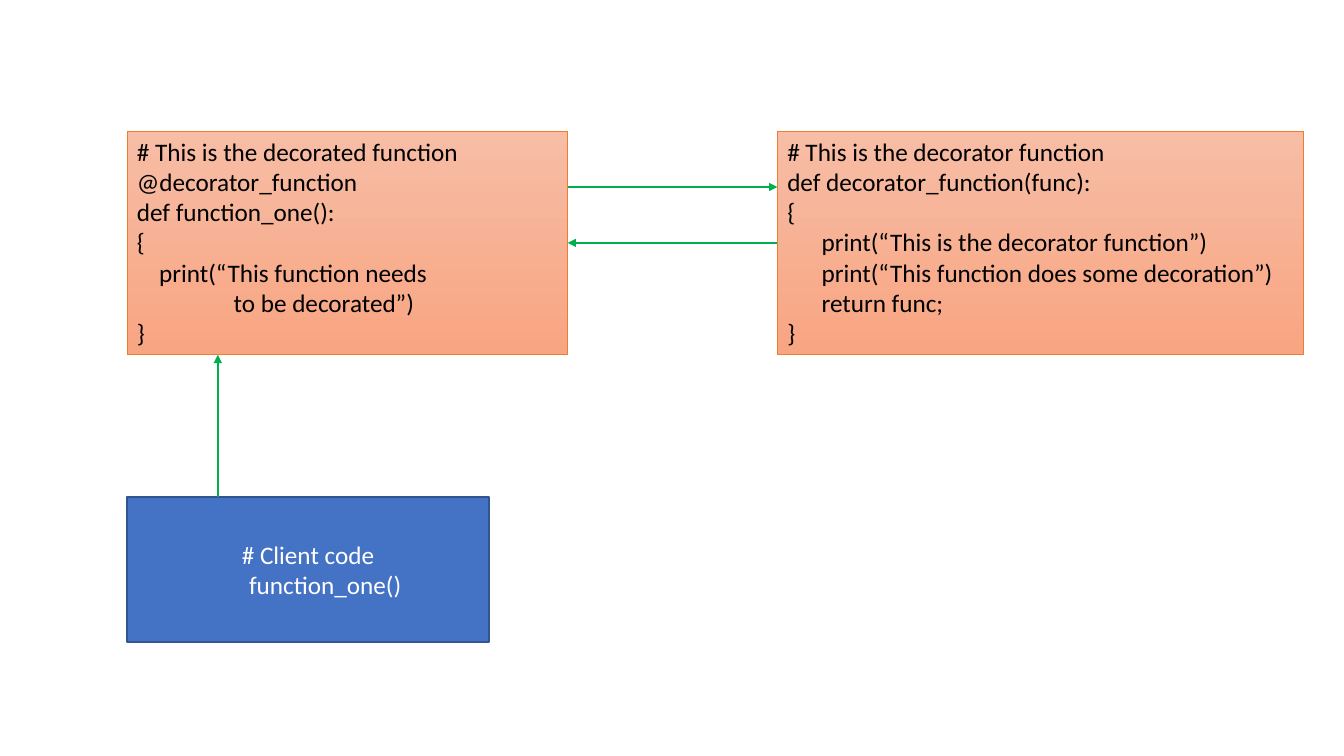
from dataclasses import dataclass

from lxml.etree import SubElement
from pptx import Presentation
from pptx.dml.color import RGBColor
from pptx.enum.shapes import MSO_CONNECTOR, MSO_SHAPE
from pptx.enum.text import MSO_ANCHOR, MSO_AUTO_SIZE, PP_ALIGN
from pptx.oxml.ns import qn
from pptx.util import Inches, Pt


@dataclass(frozen=True)
class Theme:
    font: str = "Calibri"
    size: float = 18
    code_text: str = "000000"
    code_fill: tuple = ("F7BDA5", "F8A582")
    code_line: str = "ED7D31"
    client_text: str = "FFFFFF"
    client_fill: str = "4472C4"
    client_line: str = "325491"
    arrow: str = "00B050"


THEME = Theme()


def color(value):
    return RGBColor.from_string(value)


def set_format(target, values):
    for name, value in values.items():
        setattr(target, name, value)


def set_line(line, line_color, width):
    line.color.rgb = color(line_color)
    line.width = Pt(width)


def add_box(slide, box, line_color, line_width):
    shape = slide.shapes.add_shape(MSO_SHAPE.RECTANGLE, *map(Inches, box))
    shape.shadow.inherit = False
    set_line(shape.line, line_color, line_width)
    return shape


def write_lines(frame, lines, text_color, alignment):
    """Write (indent in inches, text) pairs, one paragraph each."""
    for number, (indent, text) in enumerate(lines):
        paragraph = frame.add_paragraph() if number else frame.paragraphs[0]
        paragraph.alignment = alignment
        if indent:
            paragraph._p.get_or_add_pPr().set("marL", str(Inches(indent)))
        run = paragraph.add_run()
        run.text = text
        set_format(run.font, {"name": THEME.font, "size": Pt(THEME.size)})
        run.font.color.rgb = color(text_color)


def add_code_box(slide, box, lines):
    shape = add_box(slide, box, THEME.code_line, 0.5)
    # Gradient from top to bottom
    shape.fill.gradient()
    shape.fill.gradient_angle = 270
    for stop, value in zip(shape.fill.gradient_stops, THEME.code_fill):
        stop.color.rgb = color(value)
    set_format(shape.text_frame, {
        "word_wrap": True,
        "vertical_anchor": MSO_ANCHOR.TOP,
        "auto_size": MSO_AUTO_SIZE.SHAPE_TO_FIT_TEXT,
    })
    write_lines(shape.text_frame, lines, THEME.code_text, PP_ALIGN.LEFT)


def add_client_box(slide, box, lines):
    shape = add_box(slide, box, THEME.client_line, 1)
    shape.fill.solid()
    shape.fill.fore_color.rgb = color(THEME.client_fill)
    set_format(shape.text_frame, {
        "word_wrap": True,
        "vertical_anchor": MSO_ANCHOR.MIDDLE,
    })
    write_lines(shape.text_frame, lines, THEME.client_text, PP_ALIGN.CENTER)


def add_arrow(slide, start, end):
    arrow = slide.shapes.add_connector(
        MSO_CONNECTOR.STRAIGHT, *map(Inches, (*start, *end)))
    set_line(arrow.line, THEME.arrow, 1.5)
    SubElement(arrow.line._get_or_add_ln(), qn("a:tailEnd"), type="triangle")
    SubElement(arrow._element.spPr, qn("a:effectLst"))


def add_call_arrows(slide, decorated, decorator, client):
    left, top, width, height = decorated
    right = left + width
    # Client calls the decorated function
    call_x = left + 0.9
    add_arrow(slide, (call_x, client[1]), (call_x, top + height))
    # Decorated function to decorator and back, at quarter and half height
    call_y, return_y = top + height / 4, top + height / 2
    add_arrow(slide, (right, call_y), (decorator[0], call_y))
    add_arrow(slide, (decorator[0], return_y), (right, return_y))


DECORATED_LINES = [
    (0, "# This is the decorated function"),
    (0, "@decorator_function"),
    (0, "def function_one():"),
    (0, "{"),
    (0.22, "print(“This function needs"),
    (0.96, "to be decorated”)"),
    (0, "}"),
]
DECORATOR_LINES = [
    (0, "# This is the decorator function"),
    (0, "def decorator_function(func):"),
    (0, "{"),
    (0.34, "print(“This is the decorator function”)"),
    (0.34, "print(“This function does some decoration”)"),
    (0.34, "return func;"),
    (0, "}"),
]
CLIENT_LINES = [(0, "# Client code"), (0.34, "function_one()")]


def build_decorator_slide(presentation):
    slide = presentation.slides.add_slide(presentation.slide_layouts[6])
    left, top, height = 1.26, 1.3, 2.22
    decorated = (left, top, 4.37, height)
    decorator = (7.71, top, 5.22, height)
    client = (left, 4.93, 3.59, 1.44)
    add_client_box(slide, client, CLIENT_LINES)
    add_code_box(slide, decorated, DECORATED_LINES)
    add_code_box(slide, decorator, DECORATOR_LINES)
    add_call_arrows(slide, decorated, decorator, client)


presentation = Presentation()
set_format(presentation, {"slide_width": Inches(13.33),
                          "slide_height": Inches(7.5)})
build_decorator_slide(presentation)
presentation.save("out.pptx")
